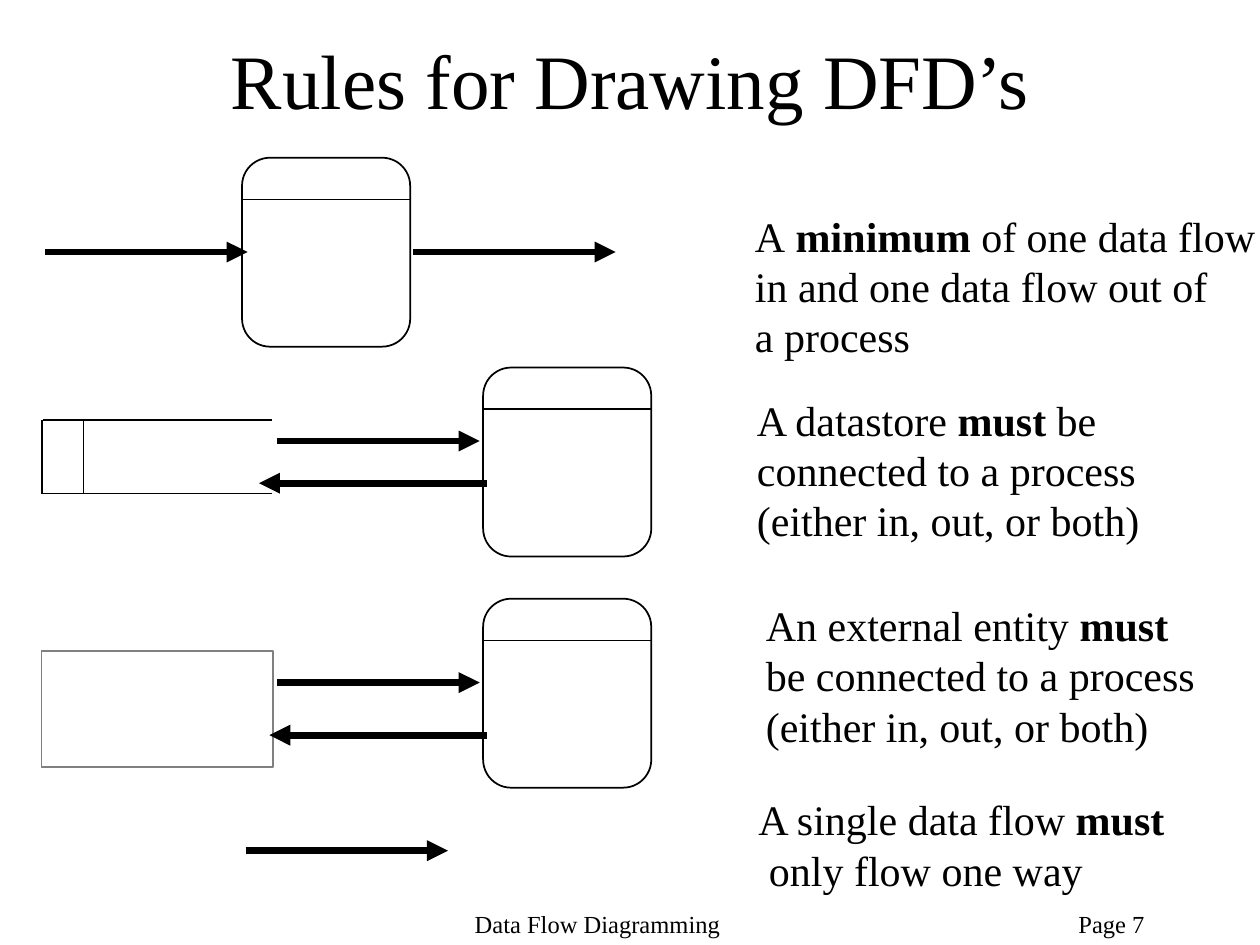
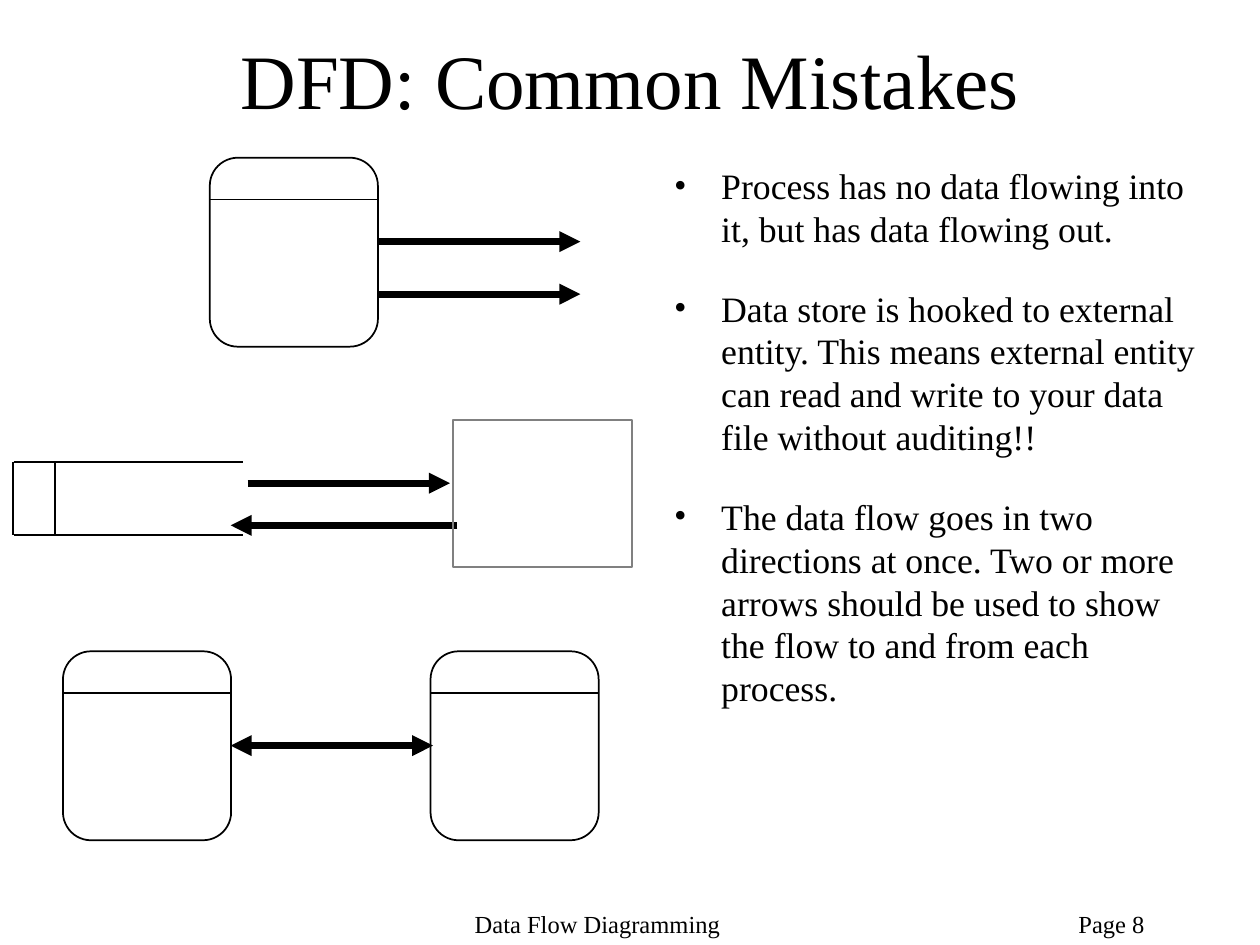
from lxml import etree
from pptx import Presentation
from pptx.dml.color import RGBColor
from pptx.enum.shapes import MSO_CONNECTOR, MSO_SHAPE
from pptx.enum.text import MSO_ANCHOR, PP_ALIGN
from pptx.oxml.ns import qn
from pptx.util import Cm, Pt

LINE = MSO_CONNECTOR.STRAIGHT
RECT = MSO_SHAPE.RECTANGLE
ROUND = MSO_SHAPE.ROUNDED_RECTANGLE
MIDDLE = MSO_ANCHOR.MIDDLE
TOP = MSO_ANCHOR.TOP
LEFT = PP_ALIGN.LEFT
CENTER = PP_ALIGN.CENTER


def color(code):
    return RGBColor.from_string(code)


class Deck:
    font = "Times New Roman"
    ink = "000000"
    gray = "808080"
    flow = 4.08

    def __init__(self):
        self.prs = Presentation()
        self.prs.slide_width = Cm(25.4)
        self.prs.slide_height = Cm(19.05)
        self.slide = None

    def page(self, title, number):
        self.slide = self.prs.slides.add_slide(self.prs.slide_layouts[6])
        self.text(21.49, 18.21, 3.66, 0.86, [f"Page {number}"], 14)
        self.text(9.32, 18.21, 5.46, 0.86, ["Data Flow Diagramming"], 14)
        self.text(1.91, 0, 21.59, 3.18, [title], 44, CENTER, MIDDLE, True)

    def text(self, x, y, w, h, lines, size, align=LEFT, anchor=TOP, wrap=False):
        box = self.slide.shapes.add_textbox(Cm(x), Cm(y), Cm(w), Cm(h))
        frame = box.text_frame
        frame.word_wrap = wrap
        frame.vertical_anchor = anchor
        for i, line in enumerate(lines):
            para = frame.add_paragraph() if i else frame.paragraphs[0]
            para.alignment = align
            for j, part in enumerate(line.split("*")):
                if part:
                    run = para.add_run()
                    run.text = part
                    run.font.name = self.font
                    run.font.size = Pt(size)
                    run.font.bold = j % 2 == 1
                    run.font.color.rgb = color(self.ink)
        return frame

    def bullets(self, x, y, w, h, items):
        frame = self.text(x, y, w, h, items, 20.4, wrap=True)
        for i, para in enumerate(frame.paragraphs):
            para.space_before = Pt(21 if i else 6)
            props = para._p.get_or_add_pPr()
            props.set("marL", str(Cm(0.95)))
            props.set("indent", str(Cm(-0.95)))
            etree.SubElement(props, qn("a:buFont")).set("typeface", self.font)
            etree.SubElement(props, qn("a:buChar")).set("char", "•")

    def line(self, x1, y1, x2, y2, width=1, ends=()):
        link = self.slide.shapes.add_connector(LINE, Cm(x1), Cm(y1), Cm(x2), Cm(y2))
        link.line.color.rgb = color(self.ink)
        link.line.width = Pt(width)
        pen = link.line._get_or_add_ln()
        for end in ends:
            etree.SubElement(pen, qn(f"a:{end}")).set("type", "triangle")
        etree.SubElement(link._element.spPr, qn("a:effectLst"))

    def arrow(self, x, y, to=None, ends=("tailEnd",)):
        self.line(x, y, x + self.flow if to is None else to, y, 4, ends)

    def shape(self, kind, x, y, w, h, edge):
        item = self.slide.shapes.add_shape(kind, Cm(x), Cm(y), Cm(w), Cm(h))
        item.shadow.inherit = False
        item.fill.background()
        item.line.color.rgb = color(edge)
        item.line.width = Pt(1)

    def entity(self, x, y, w, h):
        self.shape(RECT, x, y, w, h, self.gray)

    def process(self, x, y):
        self.shape(ROUND, x, y, 3.39, 3.81, self.ink)
        self.line(x, y + 0.84, x + 3.39, y + 0.84)

    def store(self, x, y):
        for edge in (y, y + 1.48):
            self.line(x + 0.02, edge, x + 4.64, edge)
        self.line(x, y, x, y + 1.48)
        self.line(x + 0.85, y, x + 0.85, y + 1.48, 0.75)


def rules(deck):
    deck.page("Rules for Drawing DFD’s", 7)
    deck.entity(0.84, 13.13, 4.66, 2.33)
    deck.store(0.84, 8.47)
    for x, y in ((4.88, 3.18), (9.74, 7.41), (9.74, 12.07)):
        deck.process(x, y)
    for x, y in ((0.91, 5.08), (8.33, 5.08), (5.59, 8.89), (5.59, 13.76), (4.95, 17.15)):
        deck.arrow(x, y)
    deck.arrow(9.81, 9.74, 5.22)
    deck.arrow(9.81, 14.82, 5.43)
    both = "(either in, out, or both)"
    notes = (
        (14.97, 4.11, ["A* minimum* of one data flow", "in and one data flow out of", "a process"]),
        (15.01, 7.82, ["A datastore *must *be", "connected to a process", both]),
        (15.19, 11.96, ["An external entity *must*", "be connected to a process", both]),
        (15.04, 15.88, ["A single data flow *must*", " only flow one way"]),
    )
    for x, y, lines in notes:
        deck.text(x, y, 10.6, 0.25 + 1.02 * len(lines), lines, 24)


def mistakes(deck):
    deck.page("DFD: Common Mistakes", 8)
    deck.store(0.26, 9.31)
    for x, y in ((4.23, 3.18), (1.27, 13.13), (8.68, 13.13)):
        deck.process(x, y)
    for x, y in ((7.62, 4.87), (7.62, 5.93), (4.99, 9.74)):
        deck.arrow(x, y)
    deck.arrow(9.22, 10.59, 4.65)
    deck.arrow(4.65, 15.03, ends=("headEnd", "tailEnd"))
    deck.entity(9.14, 8.47, 3.6, 2.96)
    deck.bullets(13.34, 3.18, 11.22, 13.12, [
        "Process has no data flowing into it, but has data flowing out.",
        "Data store is hooked to external entity. This means external entity "
        "can read and write to your data file without auditing!!",
        "The data flow goes in two directions at once. Two or more arrows "
        "should be used to show the flow to and from each process.",
    ])


def main():
    deck = Deck()
    rules(deck)
    mistakes(deck)
    deck.prs.save("out.pptx")


if __name__ == "__main__":
    main()
